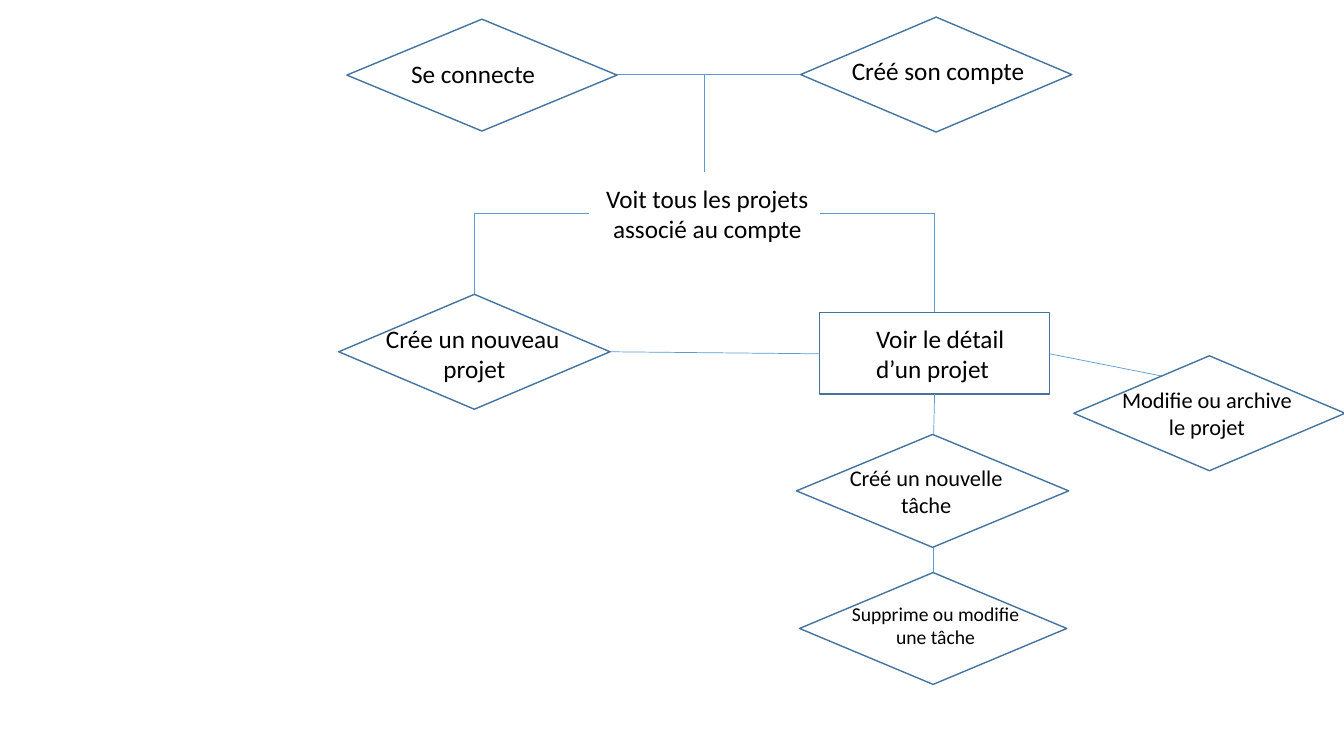
from lxml import etree
from pptx import Presentation
from pptx.dml.color import RGBColor
from pptx.enum.shapes import MSO_CONNECTOR, MSO_SHAPE
from pptx.enum.text import MSO_AUTO_SIZE, PP_ALIGN
from pptx.oxml.ns import qn
from pptx.util import Inches, Pt

DIAMOND = MSO_SHAPE.DIAMOND
RECTANGLE = MSO_SHAPE.RECTANGLE
STRAIGHT = MSO_CONNECTOR.STRAIGHT
LEFT, CENTER = PP_ALIGN.LEFT, PP_ALIGN.CENTER
FIT_SHAPE = MSO_AUTO_SIZE.SHAPE_TO_FIT_TEXT

FONT = "Calibri"
COLORS = {"outline": "43739E", "link": "5B9BD5", "text": "000000"}


def color(name):
    """Return a palette colour."""
    return RGBColor.from_string(COLORS[name])


def add_outline(slide, kind, box):
    """Draw an unfilled outline in the given box."""
    shape = slide.shapes.add_shape(kind, *map(Inches, box))
    shape.shadow.inherit = False
    shape.fill.background()
    shape.line.color.rgb = color("outline")
    shape.line.width = Pt(1)


def add_label(slide, box, lines, size=18, alignments=(LEFT, CENTER), wrap=False):
    """Write one paragraph per line in a text box."""
    frame = slide.shapes.add_textbox(*map(Inches, box)).text_frame
    frame.word_wrap = wrap
    frame.auto_size = FIT_SHAPE
    for index, (line, alignment) in enumerate(zip(lines, alignments)):
        paragraph = frame.add_paragraph() if index else frame.paragraphs[0]
        paragraph.alignment = alignment
        run = paragraph.add_run()
        run.text = line
        run.font.name = FONT
        run.font.size = Pt(size)
        run.font.color.rgb = color("text")


def add_links(slide, *points):
    """Join consecutive points with thin straight lines."""
    for start, end in zip(points, points[1:]):
        connector = slide.shapes.add_connector(STRAIGHT, *map(Inches, start + end))
        connector.line.color.rgb = color("link")
        connector.line.width = Pt(0.5)
        etree.SubElement(connector._element.spPr, qn("a:effectLst"))


def add_account_region(slide, left, top):
    """Place the sign-in and sign-up choices with their shared link."""
    axis = top + 0.57
    add_label(slide, (left + 0.54, top + 0.36, 1.45, 0.4), ["Se connecte"])
    add_label(slide, (left + 4.91, top + 0.33, 1.93, 0.4), ["Créé son compte"])
    add_links(slide, (left + 2.68, axis), (left + 4.5, axis))
    add_links(slide, (left + 3.55, axis), (left + 3.55, top + 1.54))
    add_outline(slide, DIAMOND, (left, top + 0.02, 2.68, 1.11))
    add_outline(slide, DIAMOND, (left + 4.5, top, 2.69, 1.14))


def add_project_region(slide, left, top):
    """Place the project list, its two branches and the edit choice."""
    axis = top + 0.35
    new_x, detail_x = left + 1.34, left + 5.91
    new_top, detail_top = top + 1.15, top + 1.33
    add_outline(slide, RECTANGLE, (left + 4.77, detail_top, 2.28, 0.81))
    add_label(slide, (left + 2.54, top, 2.23, 0.71),
              ["Voit tous les projets", "associé au compte"], alignments=(CENTER, CENTER))
    add_label(slide, (left + 0.37, top + 1.39, 1.95, 0.71),
              ["Crée un nouveau", "projet"], wrap=True)
    add_label(slide, (left + 5.23, top + 1.39, 1.55, 0.71),
              ["Voir le détail", "d’un projet"], alignments=(LEFT, LEFT))
    add_label(slide, (left + 7.67, top + 2.01, 1.91, 0.64),
              ["Modifie ou archive", "le projet"], size=16)
    add_links(slide, (left + 2.48, axis), (new_x, axis), (new_x, new_top))
    add_links(slide, (left + 4.77, axis), (detail_x, axis), (detail_x, detail_top))
    add_links(slide, (left + 2.69, top + 1.72), (left + 4.77, top + 1.74))
    add_links(slide, (left + 7.05, top + 1.74), (left + 8.16, top + 1.96))
    add_outline(slide, DIAMOND, (left, new_top, 2.69, 1.14))
    add_outline(slide, DIAMOND, (left + 7.29, top + 1.76, 2.69, 1.14))


def add_task_region(slide, left, top):
    """Place the task choices in a column below the project detail."""
    axis = left + 1.36
    add_label(slide, (left + 0.43, top + 0.65, 1.74, 0.64),
              ["Créé un nouvelle", "tâche"], size=16)
    add_label(slide, (left + 0.45, top + 2.01, 1.88, 0.81),
              ["Supprime ou modifie", "une tâche"], size=14)
    add_links(slide, (axis + 0.01, top), (axis, top + 0.4))
    add_links(slide, (axis, top + 1.53), (axis, top + 1.77))
    add_outline(slide, DIAMOND, (left, top + 0.4, 2.7, 1.12))
    add_outline(slide, DIAMOND, (left + 0.03, top + 1.77, 2.65, 1.11))


def main():
    """Build the user flow slide."""
    presentation = Presentation()
    presentation.slide_width = Inches(13.33)
    presentation.slide_height = Inches(7.5)
    slide = presentation.slides.add_slide(presentation.slide_layouts[6])
    add_account_region(slide, 3.44, 0.17)
    add_project_region(slide, 3.36, 1.77)
    add_task_region(slide, 7.9, 3.91)
    presentation.save("out.pptx")


if __name__ == "__main__":
    main()
